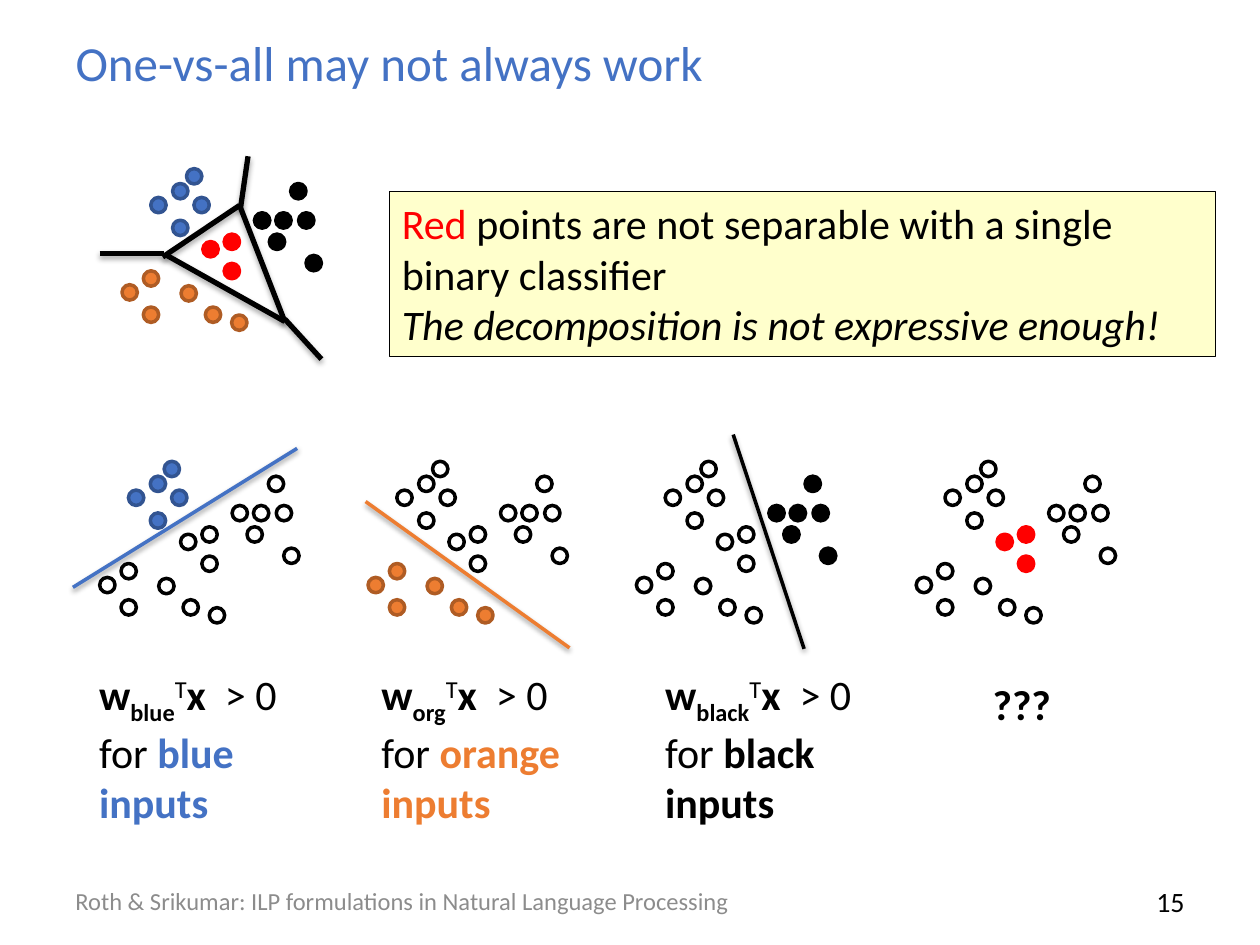
from lxml import etree
from pptx import Presentation
from pptx.dml.color import RGBColor
from pptx.enum.shapes import MSO_CONNECTOR, MSO_SHAPE
from pptx.enum.text import MSO_ANCHOR, PP_ALIGN
from pptx.oxml.ns import qn
from pptx.util import Cm, Pt

LINE = MSO_CONNECTOR.STRAIGHT
OVAL, RECT = MSO_SHAPE.OVAL, MSO_SHAPE.RECTANGLE
MIDDLE, TOP = MSO_ANCHOR.MIDDLE, MSO_ANCHOR.TOP
LEFT, RIGHT = PP_ALIGN.LEFT, PP_ALIGN.RIGHT

COLORS = {
    "blue": "4472C4", "blue edge": "325491",
    "orange": "ED7D31", "orange edge": "AF5C24",
    "red": "FF0000", "red edge": "FF0000",
    "black": "000000", "black edge": "000000",
    "white": "FFFFFF", "white edge": "000000",
    "yellow": "FFFFCC", "gray": "8C8C8C",
}
RGB = {name: RGBColor.from_string(value) for name, value in COLORS.items()}


def add_run(p, text, size=24, color="black", bold=False, italic=False, base=0):
    r = p.add_run()
    r.text = text
    r.font.name = "Calibri"
    r.font.size = Pt(size)
    r.font.bold = bold
    r.font.italic = italic
    r.font.color.rgb = RGB[color]
    if base:
        r.font._element.set("baseline", str(base * 1000))


def add_line(x1, y1, x2, y2, color, width, dist, alpha):
    c = s.shapes.add_connector(LINE, Cm(x1), Cm(y1), Cm(x2), Cm(y2))
    c.line.color.rgb = RGB[color]
    c.line.width = Pt(width)
    effects = etree.SubElement(c._element.spPr, qn("a:effectLst"))
    shadow = etree.SubElement(effects, qn("a:outerShdw"), blurRad="40000",
                              dist=str(dist), dir="5400000", rotWithShape="0")
    clr = etree.SubElement(shadow, qn("a:srgbClr"), val=COLORS["black"])
    etree.SubElement(clr, qn("a:alpha"), val=str(alpha * 1000))


prs = Presentation()
prs.slide_width, prs.slide_height = Cm(25.4), Cm(19.05)
s = prs.slides.add_slide(prs.slide_layouts[5])

title = s.shapes.title
title.left, title.top, title.width, title.height = Cm(1.27), Cm(0.38), Cm(22.86), Cm(1.73)
tf = title.text_frame
tf.vertical_anchor = MIDDLE
p = tf.paragraphs[0]
p.alignment = LEFT
add_run(p, "One-vs-all may not always work", 28, "blue")

note = s.shapes.add_shape(RECT, Cm(7.85), Cm(3.86), Cm(16.66), Cm(3.33))
note.shadow.inherit = False
note.fill.solid()
note.fill.fore_color.rgb = RGB["yellow"]
note.line.color.rgb = RGB["black"]
note.line.width = Pt(0.75)
tf = note.text_frame
tf.word_wrap = True
tf.vertical_anchor = TOP
p = tf.paragraphs[0]
p.alignment = LEFT
add_run(p, "Red", color="red")
add_run(p, " points are not separable with a single binary classifier")
p = tf.add_paragraph()
p.alignment = LEFT
add_run(p, "The decomposition is not expressive enough!", italic=True)

boundaries = [
    (3.28, 5.18, 4.83, 4.14), (3.33, 5.13, 5.74, 6.48), (4.83, 4.14, 5.74, 6.48),
    (5.74, 6.43, 6.48, 7.24), (4.85, 4.19, 5, 3.15), (2.01, 5.11, 3.3, 5.11),
]
for ends in boundaries:
    add_line(*ends, "black", 3, 23000, 35)

separators = {
    "blue": (1.47, 11.84, 5.99, 9.04),
    "orange": (7.37, 10.11, 11.48, 13.06),
    "black": (14.78, 8.76, 16.21, 13.08),
}
for color, ends in separators.items():
    add_line(*ends, color, 2, 20000, 38)

points = {
    "blue": [(1.02, 0.3), (1.3, 0), (0.58, 0.58), (1.45, 0.58), (1.02, 1.04)],
    "red": [(1.63, 1.47), (2.06, 1.32), (2.06, 1.91)],
    "black": [(2.97, 1.32), (3.71, 1.75), (3.4, 0.3), (2.67, 0.89), (3.56, 0.89), (3.1, 0.89)],
    "orange": [(2.21, 2.95), (0.43, 2.06), (1.19, 2.36), (0, 2.34), (1.68, 2.79), (0.43, 2.79)],
}
panels = [
    (2.46, 3.4, list(points)),
    (2.01, 9.3, ["blue"]),
    (7.42, 9.3, ["orange"]),
    (12.83, 9.3, ["black"]),
    (18.47, 9.3, ["red"]),
]
for left, top, shown in panels:
    for group, offsets in points.items():
        color = group if group in shown else "white"
        for dx, dy in offsets:
            dot = s.shapes.add_shape(OVAL, Cm(left + dx), Cm(top + dy), Cm(0.31), Cm(0.31))
            dot.shadow.inherit = False
            dot.fill.solid()
            dot.fill.fore_color.rgb = RGB[color]
            dot.line.color.rgb = RGB[color + " edge"]
            dot.line.width = Pt(2)

captions = [
    (1.75, 4.72, "blue", "blue"),
    (7.44, 4.9, "org", "orange"),
    (13.16, 5.31, "black", "black"),
]
for left, width, index, color in captions:
    tf = s.shapes.add_textbox(Cm(left), Cm(13.36), Cm(width), Cm(3.33)).text_frame
    tf.word_wrap = True
    p = tf.paragraphs[0]
    add_run(p, "w", bold=True)
    add_run(p, index, bold=True, base=-25)
    add_run(p, "T", base=30)
    add_run(p, "x ", bold=True)
    add_run(p, " > 0 for ")
    add_run(p, color + " inputs", color=color, bold=True)

labels = [
    (19.76, 13.56, 2.57, 1.27, "???", 24, "black", True, LEFT, TOP),
    (1.27, 17.65, 15.44, 1.02, "Roth & Srikumar: ILP formulations in Natural Language Processing",
     14, "gray", False, LEFT, MIDDLE),
    (18.21, 17.65, 5.92, 1.02, "15", 16, "black", False, RIGHT, MIDDLE),
]
for left, top, width, height, text, size, color, bold, align, anchor in labels:
    tf = s.shapes.add_textbox(Cm(left), Cm(top), Cm(width), Cm(height)).text_frame
    tf.word_wrap = True
    tf.vertical_anchor = anchor
    p = tf.paragraphs[0]
    p.alignment = align
    add_run(p, text, size, color, bold)

prs.save("out.pptx")
